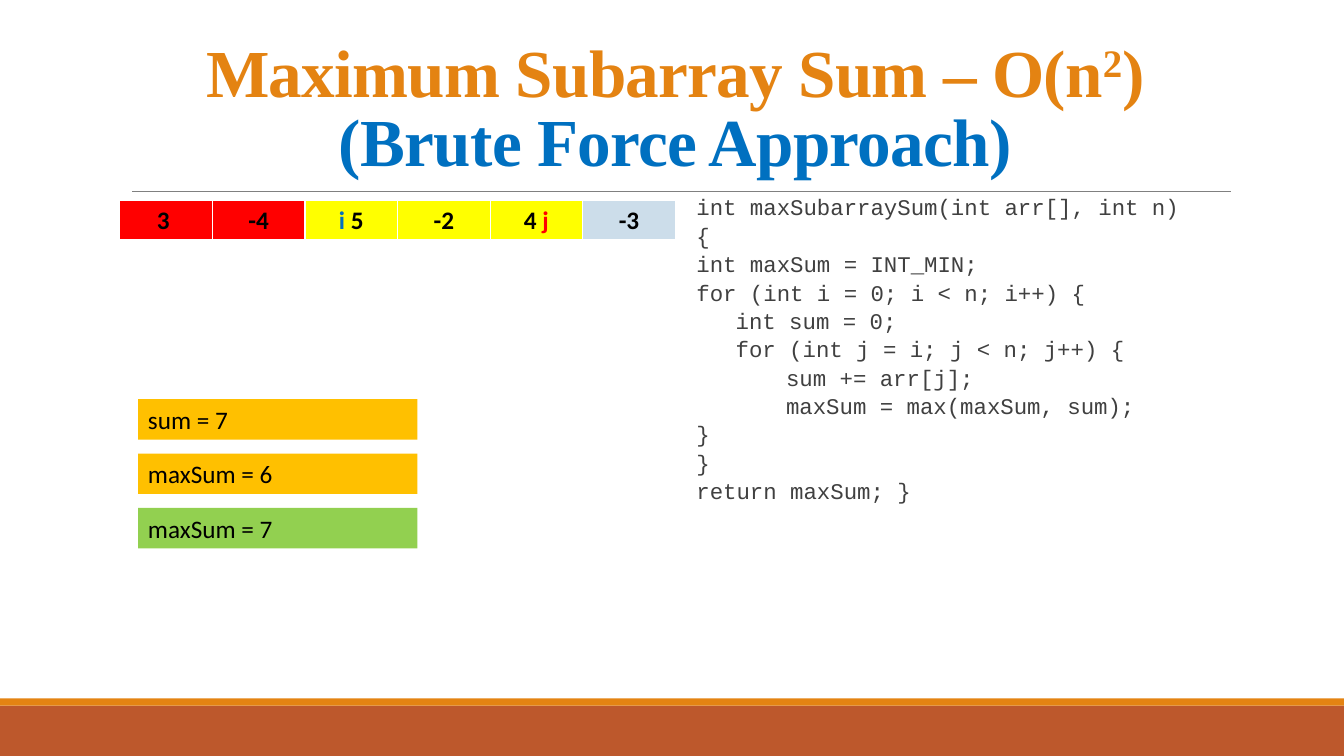
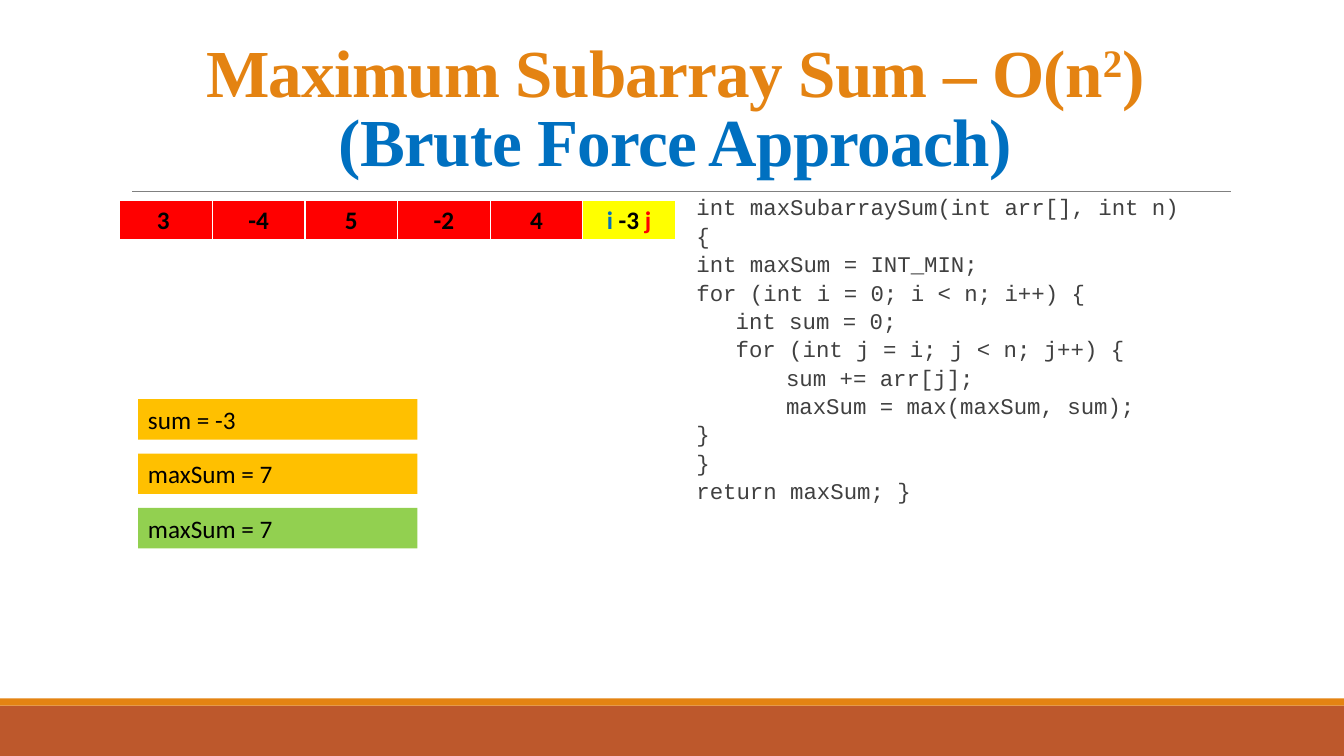
from lxml.etree import SubElement
from pptx import Presentation
from pptx.dml.color import RGBColor
from pptx.enum.shapes import MSO_CONNECTOR as Connector, MSO_SHAPE as Shape
from pptx.enum.text import MSO_ANCHOR as Anchor, MSO_AUTO_SIZE as AutoSize, PP_ALIGN as Align
from pptx.oxml.ns import qn
from pptx.util import Cm, Pt

ORANGE, RUST, BLUE, RED = "E48312", "BD582C", "0070C0", "FF0000"
YELLOW, PALE, AMBER, GREEN = "FFFF00", "CCDDEA", "FFC000", "92D050"
BLACK, WHITE, GRAY, CHARCOAL = "000000", "FFFFFF", "808080", "404040"

CODE = """int maxSubarraySum(int arr[], int n)
{
int maxSum = INT_MIN;
for (int i = 0; i < n; i++) {
\tint sum = 0;
\tfor (int j = i; j < n; j++) {
 \t\tsum += arr[j];
\t\tmaxSum = max(maxSum, sum);
}
}
return maxSum; }"""

I_MARK, J_MARK = ("i ", BLUE), ("j", RED)

# Each step: array cells as (fill, runs), then the values shown below the array
STEPS = [
    ([(RED, [("3 ", BLACK)]), (RED, [("-4", BLACK)]),
      (YELLOW, [I_MARK, ("5", BLACK)]), (YELLOW, [("-2", BLACK)]),
      (YELLOW, [("4 ", BLACK), J_MARK]), (PALE, [("-3", BLACK)])],
     ["sum = 7", "maxSum = 6", "maxSum = 7"]),
    ([(RED, [("3 ", BLACK)]), (RED, [("-4", BLACK)]), (RED, [("5", BLACK)]),
      (RED, [("-2", BLACK)]), (RED, [("4", BLACK)]),
      (YELLOW, [I_MARK, ("-3 ", BLACK), J_MARK])],
     ["sum = -3", "maxSum = 7", "maxSum = 7"]),
]


def add_span(para, text, color, size=18, font="Calibri", bold=False):
    span = para.add_run()
    span.text = text
    span.font.size, span.font.name, span.font.bold = Pt(size), font, bold
    span.font.color.rgb = RGBColor.from_string(color)
    return span


def add_block(slide, left, top, width, height, color):
    """Add a plain filled rectangle, with lengths in centimetres."""
    block = slide.shapes.add_shape(Shape.RECTANGLE, Cm(left), Cm(top), Cm(width), Cm(height))
    block.shadow.inherit = False
    block.fill.solid()
    block.fill.fore_color.rgb = RGBColor.from_string(color)
    block.line.fill.background()
    return block


deck = Presentation()
deck.slide_width, deck.slide_height = Cm(33.87), Cm(19.05)

for cells, values in STEPS:
    slide = deck.slides.add_slide(deck.slide_layouts[6])

    # Footer bands and title rule
    add_block(slide, 0, 17.78, 33.87, 1.27, RUST)
    add_block(slide, 0, 17.6, 33.87, 0.18, ORANGE)
    rule = slide.shapes.add_connector(Connector.STRAIGHT, Cm(3.33), Cm(4.83), Cm(31.01), Cm(4.83))
    rule.line.color.rgb = RGBColor.from_string(GRAY)
    rule.line.width = Pt(0.5)
    SubElement(rule.line._get_or_add_ln().getparent(), qn("a:effectLst"))

    # Title
    title = slide.shapes.add_textbox(Cm(3.05), Cm(0.79), Cm(27.94), Cm(4.04)).text_frame
    title.word_wrap = True
    title.vertical_anchor = Anchor.MIDDLE
    para = title.paragraphs[0]
    para.alignment, para.line_spacing = Align.CENTER, 0.85
    for text, color, raised in [("Maximum Subarray Sum – O(n", ORANGE, "0"), ("2", ORANGE, "30000"),
                                (")", ORANGE, "0"), ("(Brute Force Approach)", BLUE, "0")]:
        if color == BLUE:
            para.add_line_break()
        span = add_span(para, text, color, 48, "Times New Roman", True)
        span.font._element.set("spc", "-50")
        span.font._element.set("baseline", raised)

    # Array
    frame = slide.shapes.add_table(1, len(cells), Cm(3.02), Cm(5.05), Cm(14), Cm(1.03))
    for cell, (fill, runs) in zip(frame.table.rows[0].cells, cells):
        cell.vertical_anchor = Anchor.MIDDLE
        for side, width in [("L", 1), ("R", 1), ("T", 1), ("B", 3)]:
            edge = SubElement(cell._tc.get_or_add_tcPr(), qn(f"a:ln{side}"), w=str(Pt(width)))
            SubElement(SubElement(edge, qn("a:solidFill")), qn("a:srgbClr"), val=WHITE)
        cell.fill.solid()
        cell.fill.fore_color.rgb = RGBColor.from_string(fill)
        para = cell.text_frame.paragraphs[0]
        para.alignment = Align.CENTER
        for text, color in runs:
            add_span(para, text, color, bold=True)

    # Code, with a blank bullet so that tabs count from the box edge
    code = slide.shapes.add_textbox(Cm(17.27), Cm(4.83), Cm(15.98), Cm(11.48)).text_frame
    code.word_wrap = True
    code.margin_left = code.margin_right = 0
    for number, line in enumerate(CODE.split("\n")):
        para = code.add_paragraph() if number else code.paragraphs[0]
        props = para._p.get_or_add_pPr()
        props.set("marL", str(Cm(0.25)))
        props.set("indent", str(Cm(-0.25)))
        SubElement(props, qn("a:buChar"), char=" ")
        para.line_spacing, para.space_after = 0.9, Pt(3)
        add_span(para, line, CHARCOAL, 16, "Courier New")

    # Running values
    for row, (text, color) in enumerate(zip(values, [AMBER, AMBER, GREEN])):
        block = add_block(slide, 3.48, 10.06 + 1.37 * row, 7.04, 1.02, color)
        block.text_frame.auto_size = AutoSize.SHAPE_TO_FIT_TEXT
        block.text_frame.vertical_anchor = Anchor.TOP
        para = block.text_frame.paragraphs[0]
        para.alignment = Align.LEFT
        add_span(para, text, BLACK)

deck.save("out.pptx")
